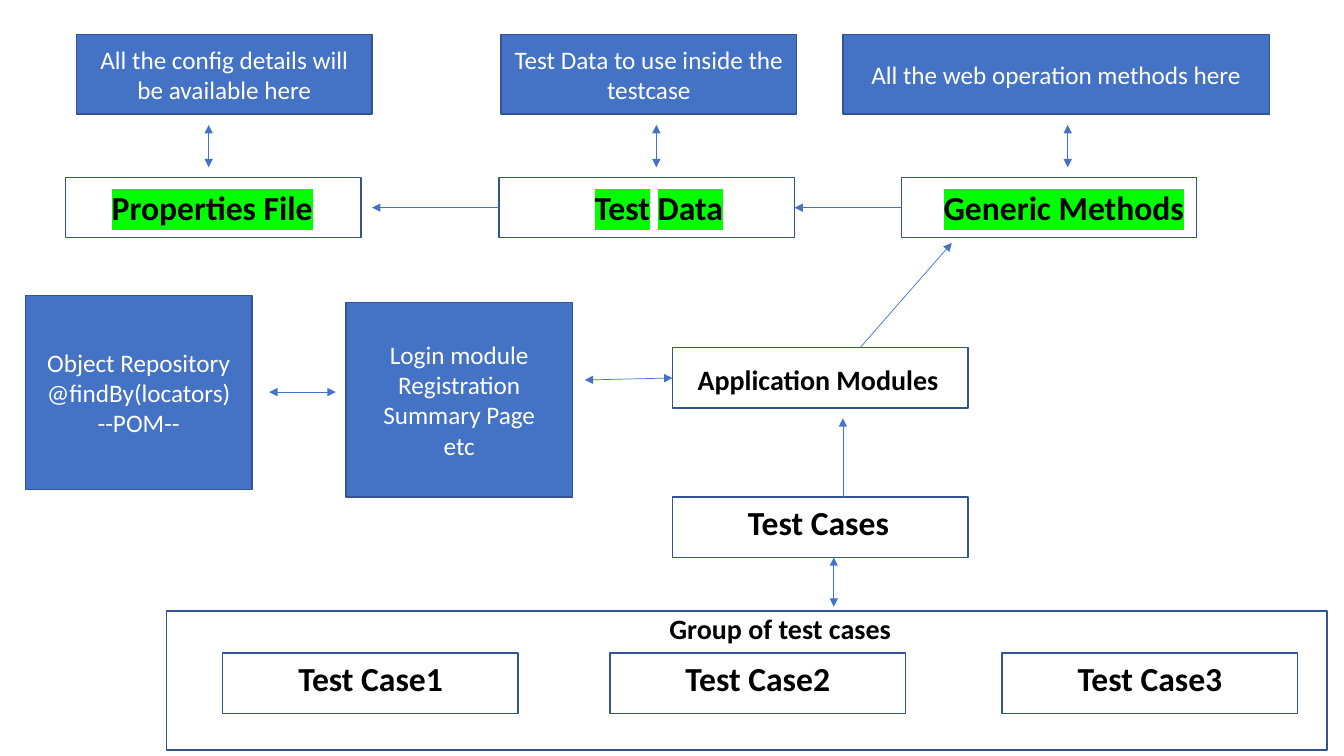
from lxml import etree
from pptx import Presentation
from pptx import util as u
from pptx.dml.color import RGBColor
from pptx.enum import shapes, text
from pptx.oxml import ns

FONT, BLUE, EDGE, BLACK, WHITE, GREEN = (
    "Calibri", "4472C4", "325491", "000000", "FFFFFF", "00FF00")
FRAME_WIDTH, FRAME_HEIGHT = 2.93, 0.6

# Blue notes: left, top, width, height, paragraphs
NOTES = [
    (0.76, 0.34, 2.93, 0.79, ["All the config details will be available here"]),
    (4.97, 0.34, 2.93, 0.79, ["Test Data to use inside the testcase"]),
    (8.36, 0.34, 4.23, 0.79, ["All the web operation methods here"]),
    (0.25, 2.93, 2.25, 1.93,
     ["Object Repository", "@findBy(locators)", "--POM--"]),
    (3.43, 3.0, 2.25, 1.93,
     ["Login module", "Registration", "Summary Page", "etc"]),
]

# Framed labels: frame left and top, label offset and size, font size,
# and runs as (words, highlight)
FRAMES = [
    (0.65, 1.76, 0.36, 0.05, 2.22, 0.5, 24, [("Properties File", GREEN)]),
    (4.95, 1.76, 0.85, 0.05, 1.49, 0.5, 24,
     [("Test", GREEN), (" ", None), ("Data", GREEN)]),
    (8.94, 1.76, 0.32, 0.05, 2.61, 0.5, 24, [("Generic Methods", GREEN)]),
    (6.67, 3.45, 0.15, 0.1, 2.61, 0.44, 20, [("Application Modules", None)]),
    (6.67, 4.93, 0.65, 0, 1.62, 0.5, 24, [("Test Cases", None)]),
] + [
    (left, 6.48, 0.65, 0, 1.65, 0.5, 24, [(f"Test Case{number}", None)])
    for number, left in enumerate((2.21, 6.05, 9.94), 1)
]

TEST_GROUP = (1.65, 6.06, 11.51, 1.38)
GROUP_LABEL = (6.54, 6.02, 2.42, 0.44)

# Arrows: start x, start y, end x, end y
ONE_WAY = [
    (8.94, 2.06, 7.88, 2.06),
    (4.95, 2.06, 3.69, 2.06),
    (8.53, 3.45, 9.44, 2.41),
    (8.36, 4.93, 8.36, 4.15),
]
TWO_WAY = [(x, 1.24, x, 1.66) for x in (2.07, 6.51, 10.59)] + [
    (2.67, 3.89, 3.33, 3.89),
    (5.8, 3.77, 6.67, 3.75),
    (8.27, 5.53, 8.27, 6.02),
]


def color(value):
    """Turn a hex string into a colour."""
    return RGBColor.from_string(value)


def inches(*values):
    """Turn numbers into lengths."""
    return [u.Inches(value) for value in values]


def add_span(para, words, size, ink, bold=False, highlight=None):
    """Add one formatted run to a paragraph."""
    span = para.add_run()
    span.text = words
    span.font.size = u.Pt(size)
    span.font.bold = bold
    span.font.color.rgb = color(ink)
    if highlight:
        fill = span.font._element.find(ns.qn("a:solidFill"))
        mark = etree.Element(ns.qn("a:highlight"))
        etree.SubElement(mark, ns.qn("a:srgbClr"), val=highlight)
        fill.addnext(mark)
    span.font.name = FONT


def add_box(parent, place, fill=None):
    """Add an outlined rectangle, filled only when a colour is given."""
    box = parent.shapes.add_shape(shapes.MSO_SHAPE.RECTANGLE, *inches(*place))
    box.shadow.inherit = False
    box.line.color.rgb = color(EDGE)
    box.line.width = u.Pt(1)
    if fill:
        box.fill.solid()
        box.fill.fore_color.rgb = color(fill)
    else:
        box.fill.background()
    return box


def add_note(page, place, lines):
    """Add a blue box with centred white lines."""
    frame = add_box(page, place, BLUE).text_frame
    frame.word_wrap = True
    frame.vertical_anchor = text.MSO_ANCHOR.MIDDLE
    for index, line in enumerate(lines):
        para = frame.add_paragraph() if index else frame.paragraphs[0]
        para.alignment = text.PP_ALIGN.CENTER
        add_span(para, line, 18, WHITE)


def add_label(parent, place, size, spans):
    """Add a bold black label that keeps to one line."""
    frame = parent.shapes.add_textbox(*inches(*place)).text_frame
    frame.word_wrap = False
    frame.auto_size = text.MSO_AUTO_SIZE.SHAPE_TO_FIT_TEXT
    for words, highlight in spans:
        add_span(frame.paragraphs[0], words, size, BLACK, True, highlight)


def add_arrow(page, points, both_ends):
    """Add a thin arrow with a head at its end, or at both ends."""
    arrow = page.shapes.add_connector(
        shapes.MSO_CONNECTOR.STRAIGHT, *inches(*points))
    arrow.line.color.rgb = color(BLUE)
    arrow.line.width = u.Pt(0.5)
    line = arrow.line._get_or_add_ln()
    for tag in ("a:headEnd", "a:tailEnd") if both_ends else ("a:tailEnd",):
        etree.SubElement(line, ns.qn(tag), type="triangle")
    etree.SubElement(arrow._element.spPr, ns.qn("a:effectLst"))


deck = Presentation()
deck.slide_width, deck.slide_height = inches(13.33, 7.5)
page = deck.slides.add_slide(deck.slide_layouts[6])

for *place, lines in NOTES:
    add_note(page, place, lines)

add_box(page, TEST_GROUP)
add_label(page, GROUP_LABEL, 20, [("Group of test cases", None)])

for left, top, shift, drop, width, height, size, spans in FRAMES:
    group = page.shapes.add_group_shape()
    add_box(group, (left, top, FRAME_WIDTH, FRAME_HEIGHT))
    add_label(group, (left + shift, top + drop, width, height), size, spans)

for both_ends, arrows in ((False, ONE_WAY), (True, TWO_WAY)):
    for points in arrows:
        add_arrow(page, points, both_ends)

deck.save("out.pptx")
